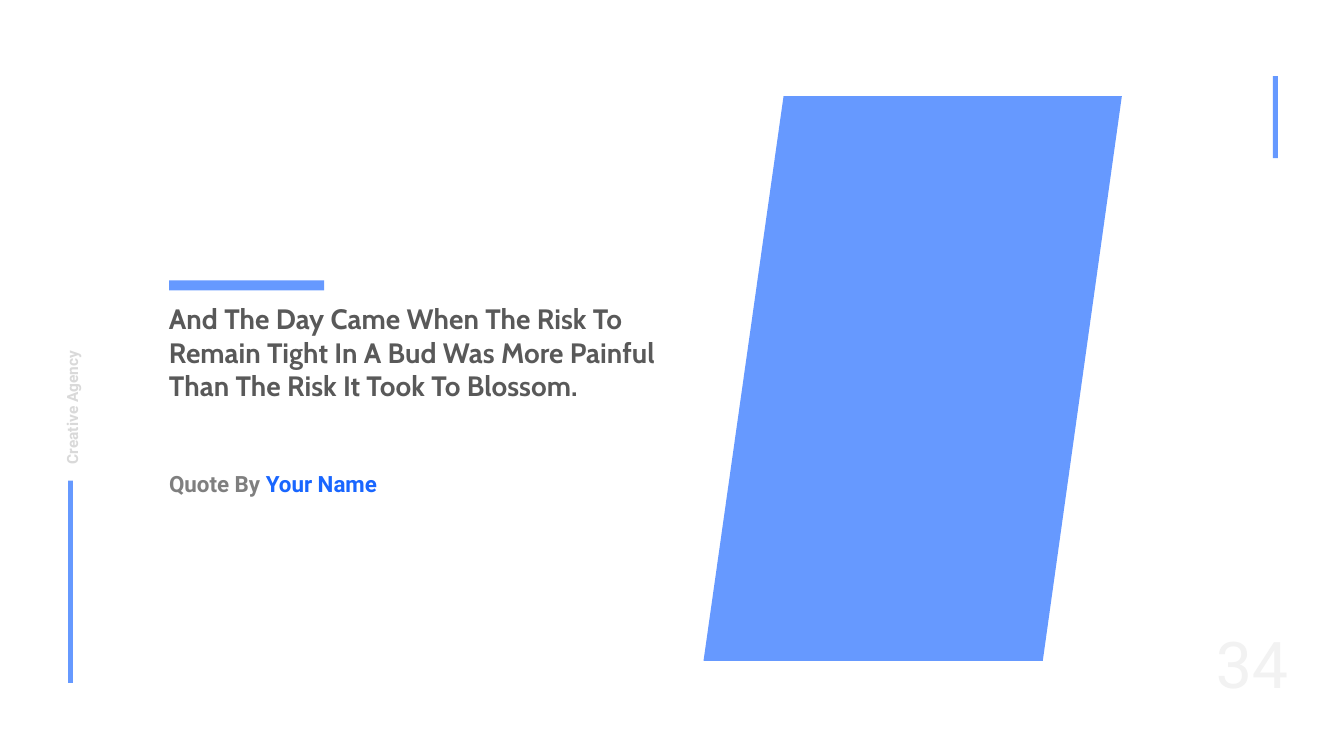
"""Build a quote slide with a slanted colour panel."""
import pptx
import pptx.dml.color
import pptx.enum.shapes
import pptx.enum.text
import pptx.util

PX = 9080
THEME = {
    "accent": "6699FF", "name": "1966FF", "quote": "595959",
    "byline": "7F7F7F", "agency": "D9D9D9", "number": "F2F2F2",
    "heading_font": "Cabin", "body_font": "Roboto",
    "quote_size": 20, "byline_size": 16, "agency_size": 11, "number_size": 46,
}
PAGE_SIZE = (1343, 755)
PANEL = [(783, 96), (1121, 96), (1042, 660), (703, 660)]
BARS = [(68, 480, 5, 202), (1272, 76, 5, 82), (169, 280, 155, 10)]
QUOTE = ("And The Day Came When The Risk To Remain Tight In A Bud Was More "
         "Painful Than The Risk It Took To Blossom.")
TEXTS = [
    {"place": (-9, 378, 153, 38), "spans": [("Creative Agency", "agency")],
     "font": "body_font", "size": "agency_size", "spacing": 1.5, "turn": 270},
    {"place": (159, 296, 538, 145), "spans": [(QUOTE, "quote")],
     "font": "heading_font", "size": "quote_size"},
    {"place": (159, 451, 245, 50),
     "spans": [("Quote By ", "byline"), ("Your Name", "name")],
     "font": "body_font", "size": "byline_size", "spacing": 1.5},
    {"place": (1190, 618, 122, 85), "spans": [("34", "number")],
     "font": "body_font", "size": "number_size", "bold": False,
     "align": pptx.enum.text.PP_ALIGN.CENTER},
]


def emu(lengths):
    return [length * PX for length in lengths]


def colour(name):
    return pptx.dml.color.RGBColor.from_string(THEME[name])


def paint(shape):
    shape.shadow.inherit = False
    shape.fill.solid()
    shape.fill.fore_color.rgb = colour("accent")
    shape.line.fill.background()


def add_text(page, place, spans, font, size, spacing=1.0, turn=0, bold=True,
             align=pptx.enum.text.PP_ALIGN.LEFT):
    box = page.shapes.add_textbox(*emu(place))
    box.rotation = turn
    box.text_frame.word_wrap = True
    para = box.text_frame.paragraphs[0]
    para.alignment = align
    para.line_spacing = spacing
    para.font.name = THEME[font]
    para.font.size = pptx.util.Pt(THEME[size])
    para.font.bold = bold
    for words, tint in spans:
        span = para.add_run()
        span.text = words
        span.font.color.rgb = colour(tint)


def main():
    deck = pptx.Presentation()
    deck.slide_width, deck.slide_height = emu(PAGE_SIZE)
    page = deck.slides.add_slide(deck.slide_layouts[6])
    outline = page.shapes.build_freeform(*PANEL[0], scale=PX)
    outline.add_line_segments(PANEL[1:], close=True)
    paint(outline.convert_to_shape())
    for place in BARS:
        paint(page.shapes.add_shape(
            pptx.enum.shapes.MSO_SHAPE.RECTANGLE, *emu(place)))
    for text in TEXTS:
        add_text(page, **text)
    deck.save("out.pptx")


if __name__ == "__main__":
    main()
